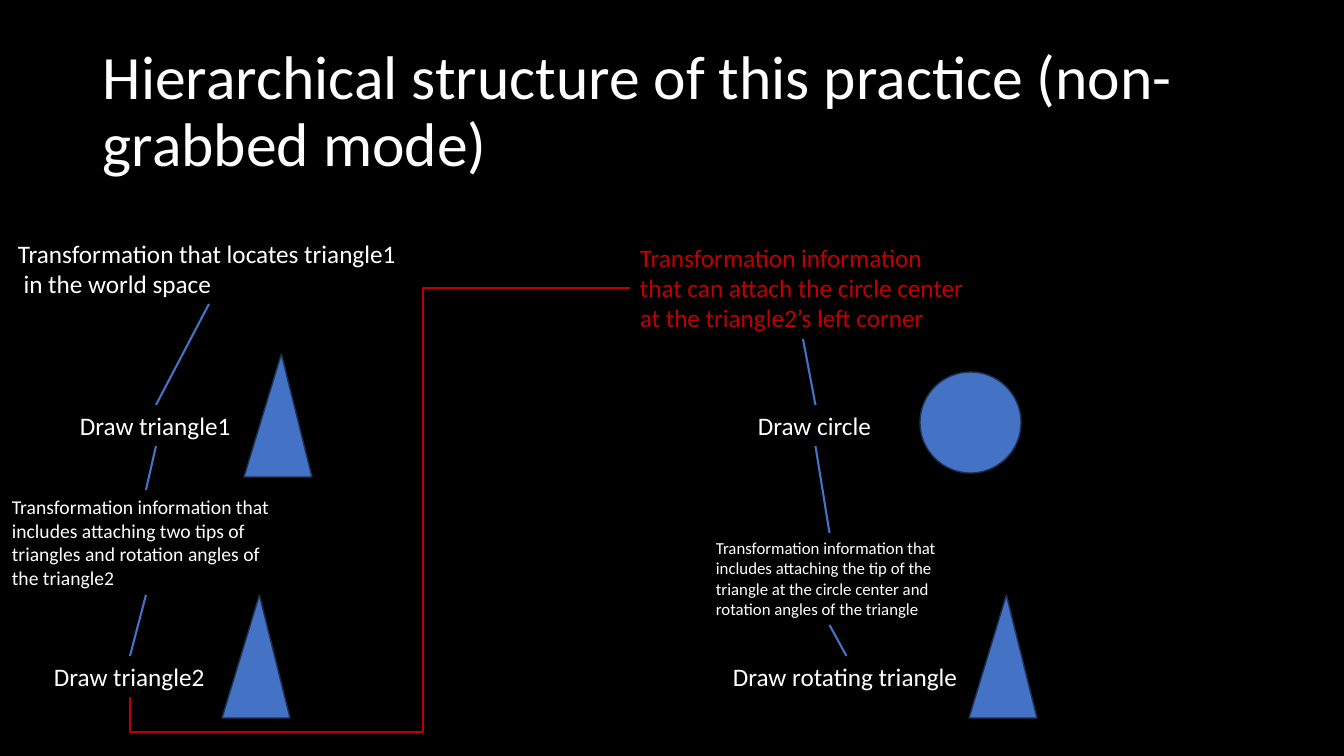
from itertools import pairwise

from lxml import etree
from pptx import Presentation
from pptx.dml.color import RGBColor
from pptx.enum.shapes import MSO_CONNECTOR, MSO_SHAPE
from pptx.enum.text import MSO_ANCHOR, MSO_AUTO_SIZE
from pptx.oxml.ns import qn
from pptx.util import Pt

STRAIGHT, ELBOW = MSO_CONNECTOR.STRAIGHT, MSO_CONNECTOR.ELBOW
TRIANGLE, CIRCLE = MSO_SHAPE.ISOSCELES_TRIANGLE, MSO_SHAPE.OVAL
TOP, MIDDLE = MSO_ANCHOR.TOP, MSO_ANCHOR.MIDDLE
GROW, FIXED = MSO_AUTO_SIZE.SHAPE_TO_FIT_TEXT, MSO_AUTO_SIZE.NONE
SITE_TOP, SITE_BOTTOM = 0, 2

THEME = {
    "font": "Calibri",
    "background": "000000", "text": "FFFFFF", "accent": "C00000",
    "figure": "4472C4", "outline": "1E3256",
    "title": 44, "body": 18, "detail": 14, "small": 12,
    "link": 1.5, "thin": 1,
}

TITLE = ("Hierarchical structure of this practice (non-grabbed mode)", (93, 40, 1159, 146))

TRIANGLE_CHAIN = [
    ("Transformation that locates triangle1\n in the world space",
     (8, 233, 402, 71), "body", "text", False),
    ("Draw triangle1", (70, 405, 172, 41), "body", "text", False),
    ("Transformation information that includes attaching two tips of triangles "
     "and rotation angles of the triangle2",
     (2, 490, 288, 105), "detail", "text", True),
    ("Draw triangle2", (44, 656, 172, 41), "body", "text", False),
]
CIRCLE_CHAIN = [
    ("Transformation information that can attach the circle center "
     "at the triangle2’s left corner",
     (630, 237, 346, 102), "body", "accent", True),
    ("Draw circle", (748, 405, 135, 41), "body", "text", False),
    ("Transformation information that includes attaching the tip of the triangle "
     "at the circle center and rotation angles of the triangle",
     (706, 533, 247, 92), "small", "text", True),
    ("Draw rotating triangle", (723, 656, 247, 41), "body", "text", False),
]
FIGURES = [
    (TRIANGLE, (244, 354, 68, 123)),
    (TRIANGLE, (222, 595, 68, 123)),
    (TRIANGLE, (969, 595, 68, 123)),
    (CIRCLE, (920, 372, 101, 101)),
]
TRIANGLE_TIP = 0.55
BRIDGE_DROP, BRIDGE_TURN = 35, 423
SLIDE = (1344, 756)


def px(length):
    return round(length * 914400 / 100.8)


def color(role):
    return RGBColor.from_string(THEME[role])


def apply(target, settings):
    for name, value in settings.items():
        setattr(target, name, value)


def write(slide, text, box, size, role, wrap, anchor=TOP, fit=GROW, spacing=1.0):
    label = slide.shapes.add_textbox(*map(px, box))
    frame = label.text_frame
    frame.text = text
    apply(frame, {"word_wrap": wrap, "auto_size": fit, "vertical_anchor": anchor})
    for paragraph in frame.paragraphs:
        paragraph.line_spacing = spacing
        for run in paragraph.runs:
            apply(run.font, {"name": THEME["font"], "size": Pt(THEME[size])})
            run.font.color.rgb = color(role)
    return label


def connect(slide, kind, start, end, role, width):
    link = slide.shapes.add_connector(kind, *map(px, start + end))
    link.line.color.rgb = color(role)
    link.line.width = Pt(THEME[width])
    etree.SubElement(link._element.spPr, qn("a:effectLst"))
    return link


def draw_chain(slide, chain):
    steps = [write(slide, *step) for step in chain]
    for upper, lower in pairwise(steps):
        link = connect(slide, STRAIGHT, (0, 0), (0, 0), "figure", "link")
        link.begin_connect(upper, SITE_BOTTOM)
        link.end_connect(lower, SITE_TOP)


def draw_figure(slide, kind, box):
    figure = slide.shapes.add_shape(kind, *map(px, box))
    figure.shadow.inherit = False
    figure.fill.solid()
    figure.fill.fore_color.rgb = color("figure")
    figure.line.color.rgb = color("outline")
    figure.line.width = Pt(THEME["thin"])
    if kind == TRIANGLE:
        figure.adjustments[0] = TRIANGLE_TIP


def draw_bridge(slide, source, target):
    left, top, width, height = source
    start_x, start_y = left + width / 2, top + height
    end_x, end_y = target[0], target[1] + target[3] / 2
    run, rise = end_x - start_x, start_y - end_y
    center_x, center_y = (start_x + end_x) / 2, (start_y + end_y) / 2
    bridge = connect(
        slide, ELBOW,
        (center_x + rise / 2, center_y + run / 2),
        (center_x - rise / 2, center_y - run / 2),
        "accent", "thin",
    )
    properties = bridge._element.spPr
    properties.find(qn("a:xfrm")).set("rot", str(90 * 60000))
    geometry = properties.find(qn("a:prstGeom"))
    geometry.set("prst", "bentConnector4")
    guides = geometry.find(qn("a:avLst"))
    ratios = {"adj1": -BRIDGE_DROP / rise, "adj2": (BRIDGE_TURN - start_x) / run}
    for name, ratio in ratios.items():
        etree.SubElement(guides, qn("a:gd"), name=name, fmla=f"val {round(ratio * 100000)}")


def main():
    deck = Presentation()
    apply(deck, dict(zip(("slide_width", "slide_height"), map(px, SLIDE))))
    slide = deck.slides.add_slide(deck.slide_layouts[6])
    slide.background.fill.solid()
    slide.background.fill.fore_color.rgb = color("background")
    write(slide, *TITLE, "title", "text", True, MIDDLE, FIXED, 0.9)
    for kind, box in FIGURES:
        draw_figure(slide, kind, box)
    for chain in (TRIANGLE_CHAIN, CIRCLE_CHAIN):
        draw_chain(slide, chain)
    draw_bridge(slide, TRIANGLE_CHAIN[-1][1], CIRCLE_CHAIN[0][1])
    deck.save("out.pptx")


if __name__ == "__main__":
    main()
